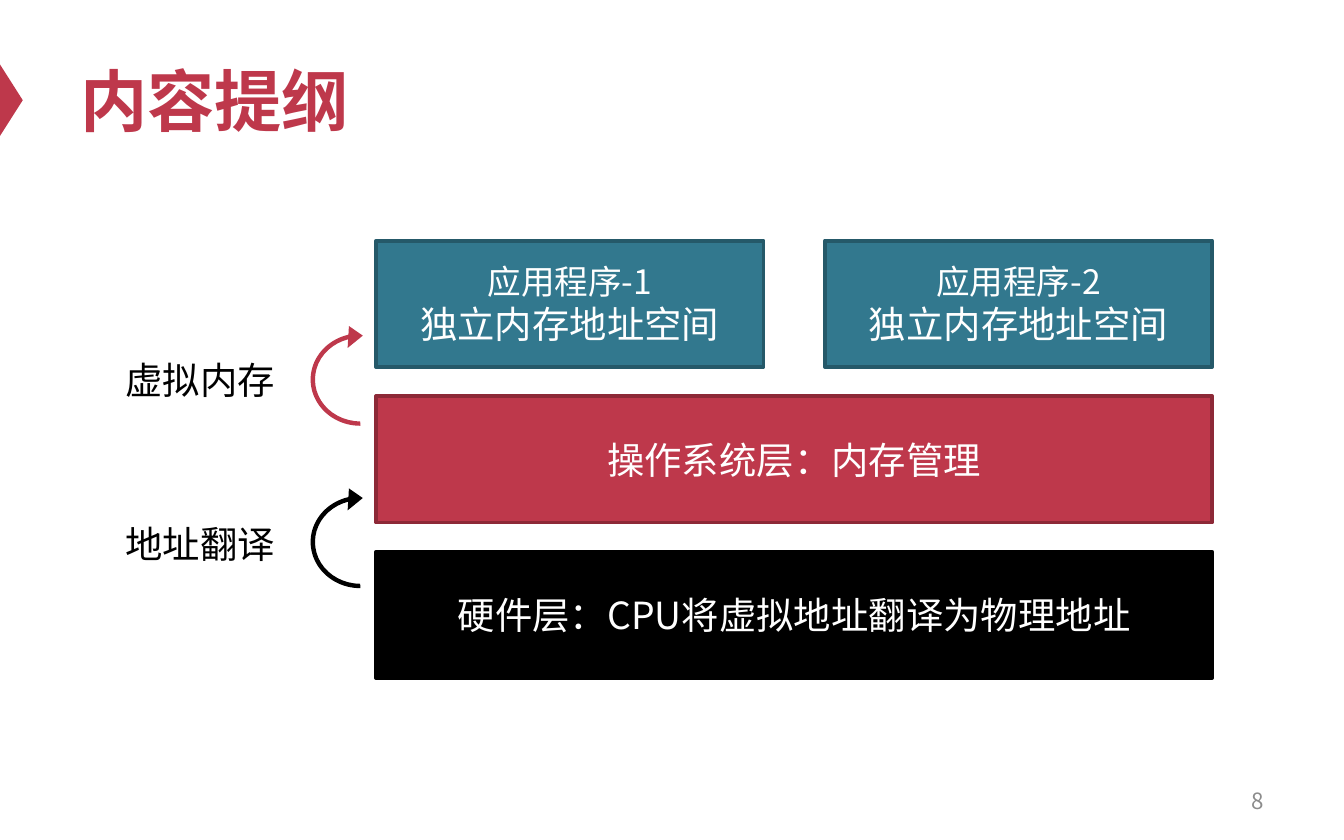
import dataclasses

import pptx
import pptx.dml.color
import pptx.enum.shapes
import pptx.enum.text
import pptx.oxml
import pptx.oxml.ns
import pptx.util
from pptx.util import Cm

SHAPE = pptx.enum.shapes.MSO_SHAPE
ALIGN = pptx.enum.text.PP_ALIGN
ANCHOR = pptx.enum.text.MSO_ANCHOR


@dataclasses.dataclass(frozen=True)
class Theme:
    crimson: str = "BE384B"
    crimson_edge: str = "8D2937"
    teal: str = "32788E"
    teal_edge: str = "255969"
    black: str = "000000"
    white: str = "FFFFFF"
    grey: str = "8C8C8C"
    heading: str = "Arial"
    body: str = "Noto Sans CJK SC"
    title_size: int = 36
    text_size: int = 20
    app_size: int = 18
    number_size: int = 12
    border: int = 2


class SlideBuilder:
    def __init__(self, slide, theme):
        self.slide = slide
        self.theme = theme

    def color(self, value):
        return pptx.dml.color.RGBColor.from_string(value)

    def add_lines(self, shape, lines, color, font, align, bold=False):
        """Each line is a (text, size) pair; lines share one paragraph."""
        paragraph = shape.text_frame.paragraphs[0]
        paragraph.alignment = align
        for index, (text, size) in enumerate(lines):
            if index:
                paragraph.add_line_break()
            run = paragraph.add_run()
            run.text = text
            run.font.size = pptx.util.Pt(size)
            run.font.bold = bold
            run.font.color.rgb = self.color(color)
            run.font.name = font
            east_asian = pptx.oxml.parse_xml(
                f'<a:ea {pptx.oxml.ns.nsdecls("a")} typeface="{self.theme.body}"/>')
            run.font._element.append(east_asian)

    def text(self, box, text, size, color, font, align=ALIGN.LEFT,
             anchor=ANCHOR.MIDDLE, wrap=True, bold=False):
        holder = self.slide.shapes.add_textbox(*map(Cm, box))
        holder.text_frame.word_wrap = wrap
        holder.text_frame.vertical_anchor = anchor
        self.add_lines(holder, [(text, size)], color, font, align, bold)

    def figure(self, kind, box, fill, rotation=0, adjustments=()):
        shape = self.slide.shapes.add_shape(kind, *map(Cm, box))
        shape.shadow.inherit = False
        shape.rotation = rotation
        for index, value in enumerate(adjustments):
            shape.adjustments[index] = value
        shape.fill.solid()
        shape.fill.fore_color.rgb = self.color(fill)
        shape.line.fill.background()
        return shape

    def block(self, box, lines, fill, edge):
        shape = self.figure(SHAPE.RECTANGLE, box, fill)
        shape.line.color.rgb = self.color(edge)
        shape.line.width = pptx.util.Pt(self.theme.border)
        shape.text_frame.word_wrap = True
        shape.text_frame.vertical_anchor = ANCHOR.MIDDLE
        self.add_lines(shape, lines, self.theme.white, self.theme.body,
                       ALIGN.CENTER)

    def loop_arrow(self, box, fill):
        self.figure(SHAPE.CIRCULAR_ARROW, box, fill, 270,
                    (0.04, 11.42, 206.56, 108, 0.1))


def main():
    deck = pptx.Presentation()
    deck.slide_width, deck.slide_height = Cm(25.4), Cm(15.88)
    theme = Theme()
    page = SlideBuilder(deck.slides.add_slide(deck.slide_layouts[6]), theme)

    # Title with its edge marker, and page number
    page.figure(SHAPE.ISOSCELES_TRIANGLE, (-0.46, 1.68, 1.35, 0.43),
                theme.crimson, 90)
    page.text((1.27, 0.64, 22.86, 2.49), "内容提纲", theme.title_size,
              theme.crimson, theme.heading, bold=True)
    page.text((18.21, 14.71, 5.92, 0.84), "8", theme.number_size,
              theme.grey, theme.body, ALIGN.RIGHT)

    # Stack of layers: applications, operating system, hardware
    left, top, width, height, step = 7.11, 4.55, 15.8, 2.39, 2.94
    app_width = 7.32
    for number, app_left in enumerate((left, left + width - app_width), 1):
        page.block((app_left, top, app_width, height),
                   [(f"应用程序-{number}", theme.app_size),
                    ("独立内存地址空间", theme.text_size)],
                   theme.teal, theme.teal_edge)
    layers = [("操作系统层：内存管理", theme.crimson, theme.crimson_edge),
              ("硬件层：CPU将虚拟地址翻译为物理地址", theme.black, theme.black)]
    for level, (layer, fill, edge) in enumerate(layers, 1):
        page.block((left, top + level * step, width, height),
                   [(layer, theme.text_size)], fill, edge)

    # Mechanisms that link each layer to the one above
    mechanisms = [("虚拟内存", theme.crimson), ("地址翻译", theme.black)]
    for level, (mechanism, fill) in enumerate(mechanisms):
        page.text((2.12, 6.63 + level * 3.1, 3.35, 1.12), mechanism,
                  theme.text_size, theme.black, theme.heading,
                  anchor=ANCHOR.TOP, wrap=False)
        page.loop_arrow((5.77, 6.07 + level * 3.07, 2.08, 2.21), fill)

    deck.save("out.pptx")


if __name__ == "__main__":
    main()
